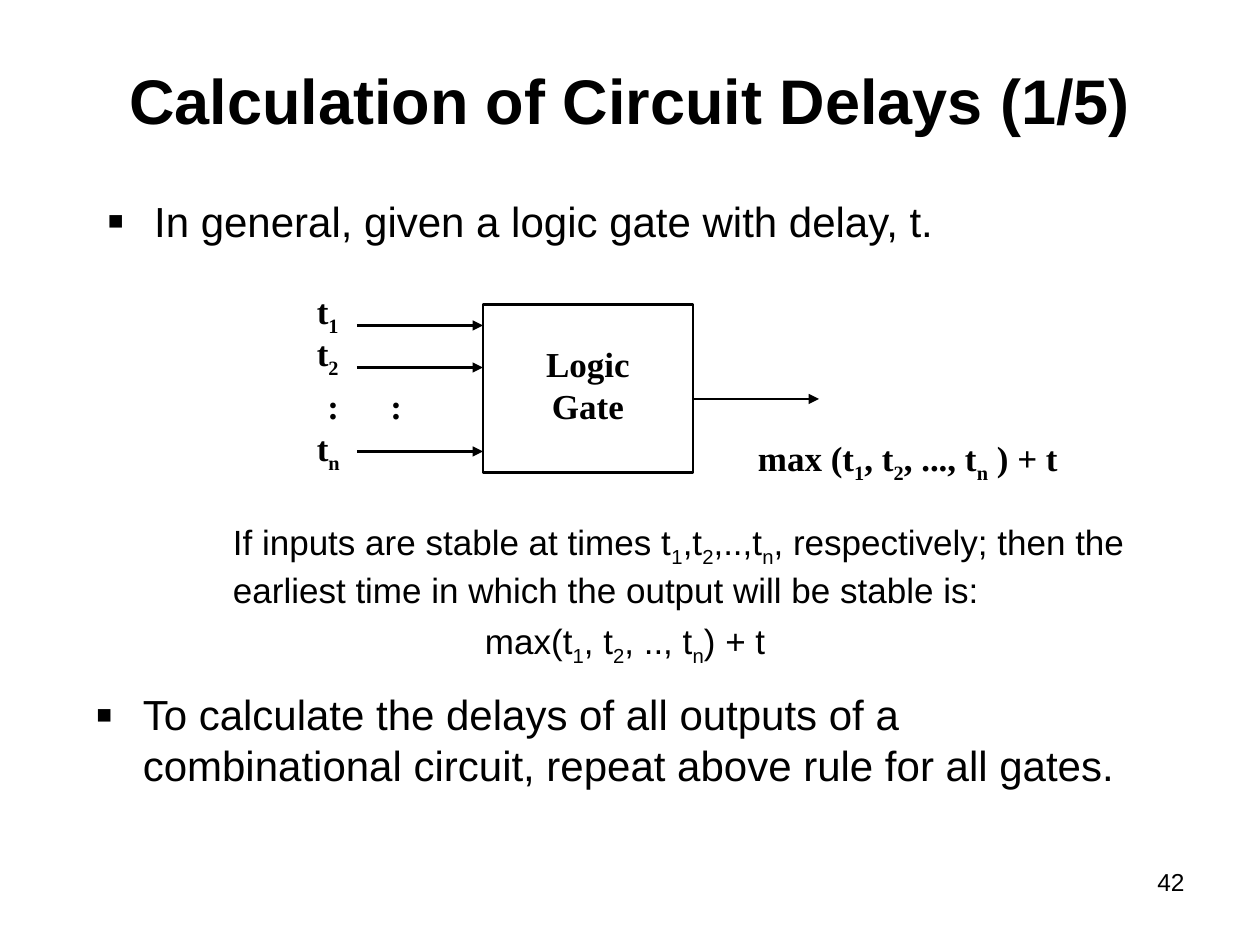
import pptx
import pptx.util
import pptx.dml.color
import pptx.enum.shapes
import pptx.enum.text
import pptx.oxml.ns
import lxml.etree

Pt = pptx.util.Pt
ALIGN = pptx.enum.text.PP_ALIGN
ANCHOR = pptx.enum.text.MSO_ANCHOR
BLACK = pptx.dml.color.RGBColor(0, 0, 0)
SANS = "Arial"
SERIF = "Times New Roman"
SUBSCRIPT = "-25000"


def add_drawing_element(parent, tag, **attributes):
    return lxml.etree.SubElement(parent, pptx.oxml.ns.qn(tag), attributes)


def set_indent(paragraph, left, hanging=0):
    properties = paragraph._p.get_or_add_pPr()
    properties.set("marL", str(Pt(left)))
    properties.set("indent", str(-Pt(hanging)))
    return properties


def add_bullet(paragraph):
    properties = set_indent(paragraph, 27, 27)
    color = add_drawing_element(properties, "a:buClr")
    add_drawing_element(color, "a:srgbClr", val=str(BLACK))
    add_drawing_element(properties, "a:buSzPct", val="120000")
    add_drawing_element(properties, "a:buFont", typeface=SANS)
    add_drawing_element(properties, "a:buChar", char="▪")


def add_runs(paragraph, text, size, font, bold):
    first, *rest = text.split("_")
    pieces = [(first, False)]
    for part in rest:
        pieces += [(part[0], True), (part[1:], False)]
    for piece, lowered in pieces:
        if not piece:
            continue
        run = paragraph.add_run()
        run.text = piece
        run.font.size = Pt(size)
        run.font.name = font
        run.font.bold = bold
        run.font.color.rgb = BLACK
        if lowered:
            run.font._element.set("baseline", SUBSCRIPT)


def add_text(slide, box, text, size=20, font=SANS, bold=False, align=ALIGN.LEFT,
             anchor=ANCHOR.TOP, bullet=False, space_before=0):
    shape = slide.shapes.add_textbox(*[Pt(length) for length in box])
    frame = shape.text_frame
    frame.word_wrap = True
    frame.vertical_anchor = anchor
    for index, line in enumerate(text.split("\n")):
        paragraph = frame.add_paragraph() if index else frame.paragraphs[0]
        paragraph.alignment = align
        if index:
            paragraph.space_before = Pt(space_before)
        if bullet:
            add_bullet(paragraph)
        add_runs(paragraph, line, size, font, bold)
    return frame


def add_arrow(slide, left, top, length):
    arrow = slide.shapes.add_connector(
        pptx.enum.shapes.MSO_CONNECTOR.STRAIGHT,
        Pt(left), Pt(top), Pt(left + length), Pt(top))
    arrow.line.color.rgb = BLACK
    arrow.line.width = Pt(1.25)
    add_drawing_element(arrow.line._get_or_add_ln(), "a:tailEnd", type="triangle")
    add_drawing_element(arrow._element.spPr, "a:effectLst")


def add_gate_diagram(slide, left, top):
    gate_left, gate_top, gate_width, gate_height = left + 102, top + 12, 120, 96
    arrow_length = 72
    gate = slide.shapes.add_shape(
        pptx.enum.shapes.MSO_SHAPE.RECTANGLE,
        Pt(gate_left), Pt(gate_top), Pt(gate_width), Pt(gate_height))
    gate.shadow.inherit = False
    gate.fill.background()
    gate.line.color.rgb = BLACK
    gate.line.width = Pt(1.5)

    label = {"font": SERIF, "bold": True}
    add_text(slide, (gate_left + 24, gate_top + 18, 72, 55.5), "Logic\nGate",
             align=ALIGN.CENTER, **label)
    for name, offset in (("t_1", 0), ("t_2", 24), ("t_n", 78)):
        add_text(slide, (left, top + offset, 30, 34.5), name, **label)
    for offset in (12, 36, 84):
        add_arrow(slide, gate_left - arrow_length, gate_top + offset, arrow_length)
    for offset in (6, 42):
        add_text(slide, (left + offset, top + 54, 30, 31.5), ":", **label)
    add_arrow(slide, gate_left + gate_width, top + 66, arrow_length)
    add_text(slide, (left + 252, top + 84, 210, 34.5),
             "max (t_1, t_2, ..., t_n ) + t", **label)


def add_explanation(slide, box):
    frame = add_text(
        slide, box,
        "If inputs are stable at times t_1,t_2,..,t_n, respectively; then the "
        "earliest time in which the output will be stable is:\n"
        "max(t_1, t_2, .., t_n) + t", space_before=5)
    set_indent(frame.paragraphs[1], 144)


def build_slide(presentation):
    slide = presentation.slides.add_slide(presentation.slide_layouts[6])
    add_text(slide, (54, 12, 612, 90), "Calculation of Circuit Delays (1/5)",
             size=36, bold=True, align=ALIGN.CENTER, anchor=ANCHOR.MIDDLE)
    add_text(slide, (54, 108, 612, 48),
             "In general, given a logic gate with delay, t.", size=24, bullet=True)
    add_gate_diagram(slide, 174, 162)
    add_explanation(slide, (126, 294, 552, 90))
    add_text(slide, (47.5, 390, 612, 72),
             "To calculate the delays of all outputs of a combinational circuit, "
             "repeat above rule for all gates.", size=24, bullet=True)
    add_text(slide, (516, 492, 168, 37.5), "42", size=14, align=ALIGN.RIGHT)


def main():
    presentation = pptx.Presentation()
    presentation.slide_width = Pt(720)
    presentation.slide_height = Pt(540)
    build_slide(presentation)
    presentation.save("out.pptx")


if __name__ == "__main__":
    main()
